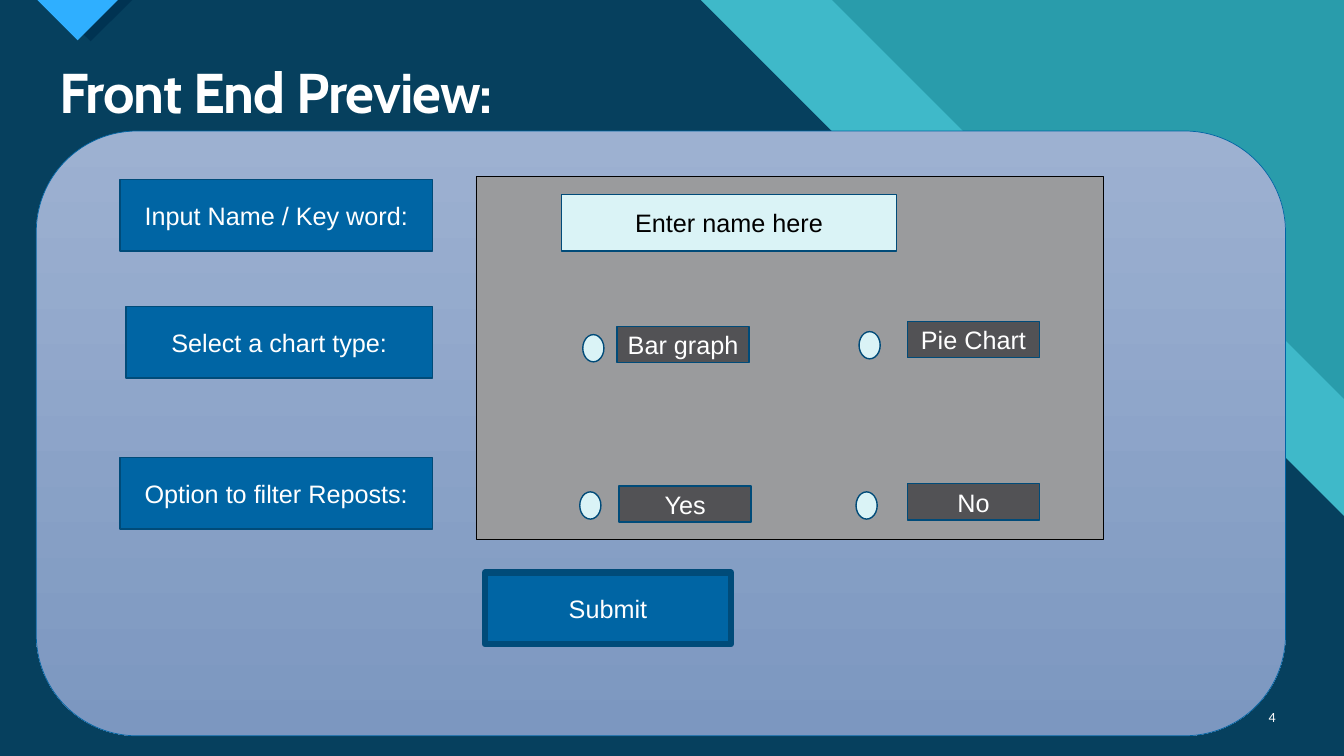
"""Builds the front end preview slide."""
from dataclasses import dataclass

from pptx import Presentation
from pptx.dml.color import RGBColor
from pptx.enum.shapes import MSO_SHAPE as Kind
from pptx.enum.text import MSO_ANCHOR as Anchor, PP_ALIGN as Align
from pptx.util import Inches, Pt


@dataclass(frozen=True)
class Theme:
    teal: str = "299CAB"
    aqua: str = "3FB9C9"
    navy: str = "06405E"
    ink: str = "003352"
    sky: str = "2FAFFF"
    top: str = "9DB1D1"
    base: str = "7C97C0"
    blue: str = "0065A4"
    edge: str = "004B79"
    gray: str = "9A9B9D"
    dark: str = "525255"
    pale: str = "DAF3F6"
    white: str = "FFFFFF"
    black: str = "000000"
    title: int = 40
    label: int = 18
    page: int = 10


THEME = Theme()


def rgb(code):
    return RGBColor.from_string(code)


def paint(shape, fill, line=None, width=1):
    shape.shadow.inherit = False
    shape.fill.solid()
    shape.fill.fore_color.rgb = rgb(fill)
    if line:
        shape.line.color.rgb = rgb(line)
        shape.line.width = Pt(width)
    else:
        shape.line.fill.background()


def poly(slide, points, fill):
    dots = [(Inches(x), Inches(y)) for x, y in points]
    pen = slide.shapes.build_freeform(*dots[0])
    pen.add_line_segments(dots[1:], close=True)
    paint(pen.convert_to_shape(), fill)


def block(slide, kind, box, fill, line=None, width=1):
    shape = slide.shapes.add_shape(kind, *map(Inches, box))
    paint(shape, fill, line, width)
    return shape


def write(shape, text, size, color, font="Arial", align=Align.CENTER):
    frame = shape.text_frame
    frame.word_wrap = True
    frame.vertical_anchor = Anchor.MIDDLE
    para = frame.paragraphs[0]
    para.alignment = align
    run = para.add_run()
    run.text = text
    run.font.size = Pt(size)
    run.font.name = font
    run.font.color.rgb = rgb(color)
    return para, run


def note(slide, box, *style):
    area = slide.shapes.add_textbox(*map(Inches, box))
    return write(area, *style)


def field(slide, box, text, fill, color=THEME.white, width=1):
    shape = block(slide, Kind.RECTANGLE, box, fill, THEME.edge, width)
    shape.text_frame.margin_left = shape.text_frame.margin_right = Inches(0.05)
    write(shape, text, THEME.label, color)


def choice(slide, dot, tag, text):
    block(slide, Kind.OVAL, (*dot, 0.21, 0.27), THEME.pale, THEME.edge)
    field(slide, (*tag, 1.31, 0.36), text, THEME.dark)


def scene(slide):
    block(slide, Kind.RECTANGLE, (0, 0, 13.33, 7.5), THEME.teal)
    poly(slide, [(0, 0), (8.25, 0), (11.22, 2.97), (12.34, 2.97),
                 (13.33, 3.96), (13.33, 7.5), (0, 7.5)], THEME.aqua)
    poly(slide, [(0, 0), (6.95, 0), (9.92, 2.97), (11.18, 2.97),
                 (13.33, 5.12), (13.33, 7.5), (0, 7.5)], THEME.navy)
    poly(slide, [(0.48, 0), (1.31, 0), (0.9, 0.41)], THEME.ink)
    poly(slide, [(0.37, 0), (1.17, 0), (0.77, 0.4)], THEME.sky)


def panel(slide):
    shape = block(slide, Kind.ROUNDED_RECTANGLE, (0.36, 1.3, 12.39, 6),
                  THEME.top, THEME.blue, 0.5)
    shape.fill.gradient()
    shape.fill.gradient_angle = 270
    for stop, code in zip(shape.fill.gradient_stops, (THEME.top, THEME.base)):
        stop.color.rgb = rgb(code)


def form(slide):
    for left, top, wide, text in (
            (1.19, 1.78, 3.1, "Input Name / Key word:"),
            (1.25, 3.04, 3.04, "Select a chart type:"),
            (1.19, 4.54, 3.1, "Option to filter Reposts:")):
        field(slide, (left, top, wide, 0.71), text, THEME.blue)
    field(slide, (4.81, 5.68, 2.44, 0.71), "Submit", THEME.blue, width=4.5)
    block(slide, Kind.RECTANGLE, (4.72, 1.75, 6.22, 3.6),
          THEME.gray, THEME.black, 0.5)
    field(slide, (5.57, 1.93, 3.32, 0.56), "Enter name here",
          THEME.pale, THEME.black)
    for dot, tag, text in (
            ((5.78, 3.32), (6.12, 3.24), "Bar graph"),
            ((8.52, 3.29), (9, 3.19), "Pie Chart"),
            ((5.75, 4.88), (6.14, 4.82), "Yes"),
            ((8.49, 4.88), (9, 4.8), "No")):
        choice(slide, dot, tag, text)


def main():
    deck = Presentation()
    deck.slide_width, deck.slide_height = Inches(13.33), Inches(7.5)
    slide = deck.slides.add_slide(deck.slide_layouts[6])
    scene(slide)
    para, run = note(slide, (0.49, 0.59, 12.26, 0.71), "Front End Preview:",
                     THEME.title, THEME.white, "Cabin", Align.LEFT)
    para.line_spacing = 0.9
    run.font.bold = True
    run.font._element.set("spc", "-70")
    note(slide, (12.31, 6.91, 0.44, 0.4), "4",
         THEME.page, THEME.white, "Calibri", Align.RIGHT)
    panel(slide)
    form(slide)
    deck.save("out.pptx")


if __name__ == "__main__":
    main()
